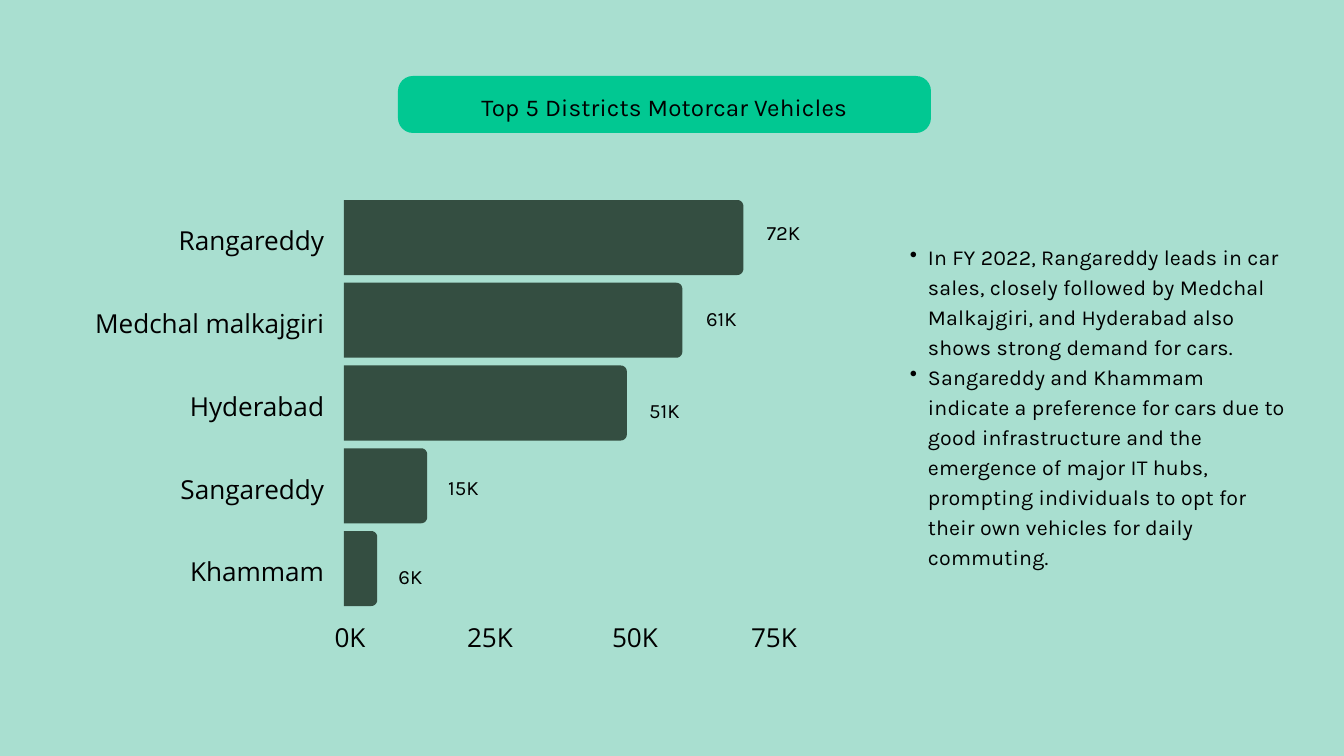
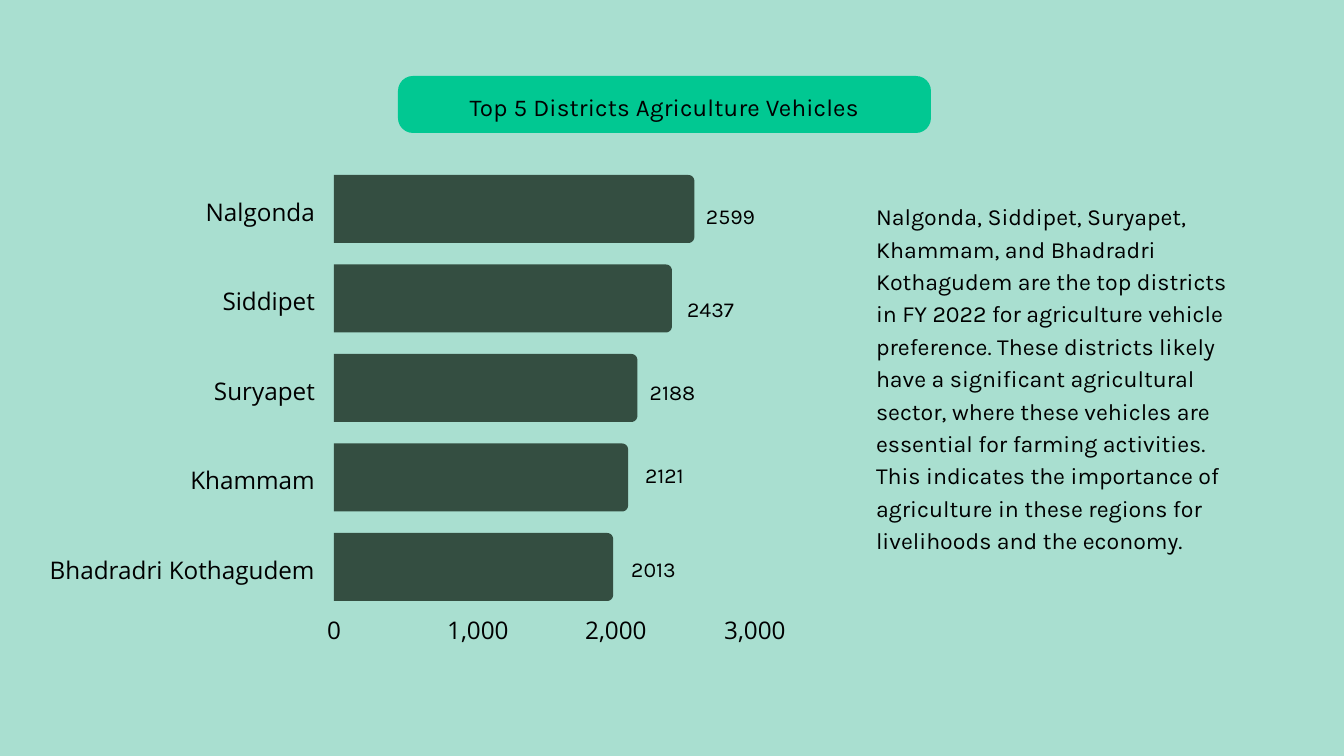
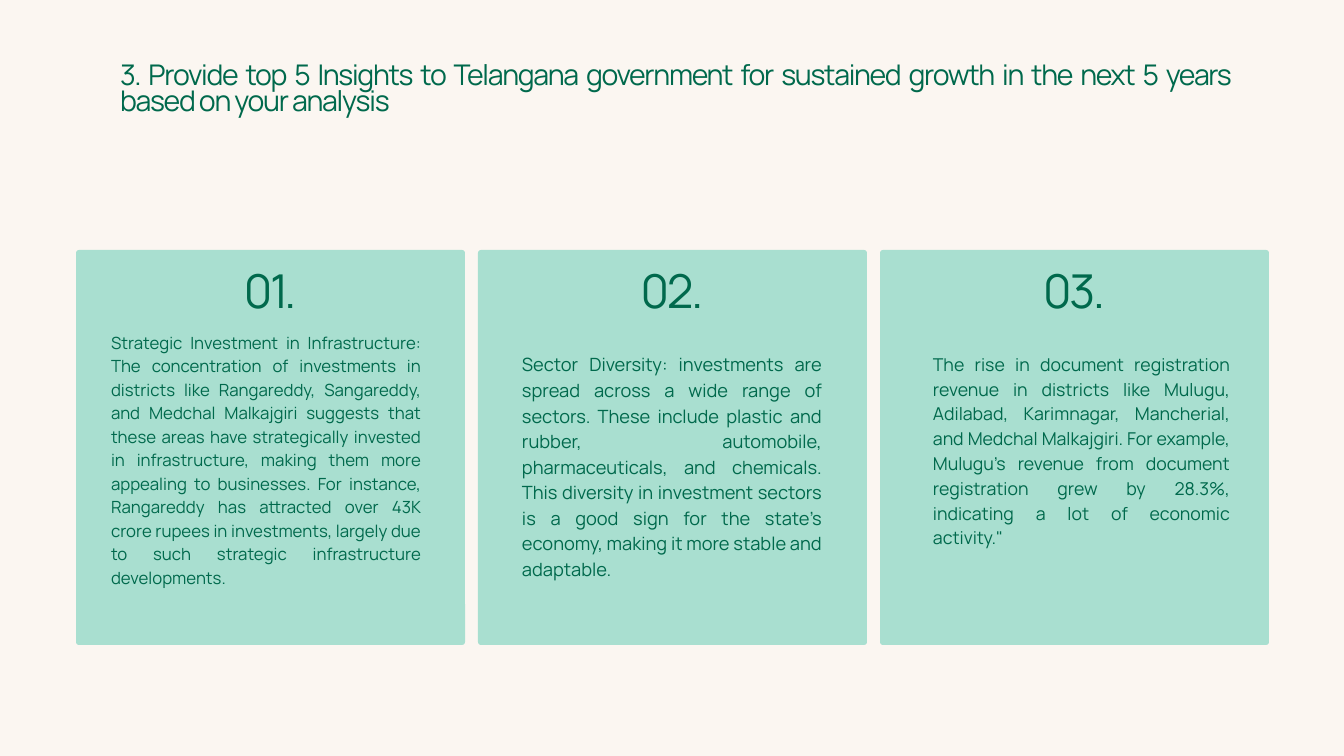
import math

import pptx
import pptx.dml.color
import pptx.enum.shapes
import pptx.enum.text
import pptx.util
from lxml import etree
from pptx.oxml.ns import qn

PX = 914400 / 67.2
SLIDE_W, SLIDE_H = 1344, 756
MINT, EMERALD, BAR, CREAM = "A9DFD0", "01C892", "344E41", "FBF6F1"
BLACK, GREEN = "000000", "00694C"
KARLA, OPEN_SANS, MANROPE = "Karla", "Open Sans", "Manrope"

ALIGN = pptx.enum.text.PP_ALIGN
SHAPE = pptx.enum.shapes.MSO_SHAPE

PILL = (398, 76, 533, 57)
AXIS_W = 416
VALUE_W, TICK_W = 77, 90
CORNER = 6

# rows: name, value, value label, left and top of the value label
CHARTS = [
    {
        "title": "Top 5 Districts Motorcar Vehicles",
        "rows": [
            ("Rangareddy", 72, "72K", 745, 216),
            ("Medchal malkajgiri", 61, "61K", 683, 302),
            ("Hyderabad", 51, "51K", 626, 394),
            ("Sangareddy", 15, "15K", 425, 471),
            ("Khammam", 6, "6K", 372, 560),
        ],
        "axis_max": 75,
        "ticks": [("0K", 350), ("25K", 490), ("50K", 635), ("75K", 774)],
        "tick_top": 616,
        "axis_left": 344, "first_top": 200, "last_top": 531, "bar_h": 75,
        "name_right": 324, "name_size": 28, "value_size": 21.8,
        "notes": [
            "In FY 2022, Rangareddy leads in car sales, closely followed by "
            "Medchal Malkajgiri, and Hyderabad also shows strong demand for cars.",
            "Sangareddy and Khammam indicate a preference for cars due to good "
            "infrastructure and the emergence of major IT hubs, prompting "
            "individuals to opt for their own vehicles for daily commuting.",
        ],
        "notes_box": (892, 240, 396, 352),
        "notes_style": {"size": 22.9, "tracking": 0.2, "bullet": True},
    },
    {
        "title": "Top 5 Districts Agriculture Vehicles",
        "rows": [
            ("Nalgonda", 2599, "2599", 692, 199),
            ("Siddipet", 2437, "2437", 672, 292),
            ("Suryapet", 2188, "2188", 634, 375),
            ("Khammam", 2121, "2121", 626, 458),
            ("Bhadradri Kothagudem", 2013, "2013", 615, 552),
        ],
        "axis_max": 3000,
        "ticks": [("0", 334), ("1,000", 478), ("2,000", 616), ("3,000", 755)],
        "tick_top": 610,
        "axis_left": 334, "first_top": 175, "last_top": 533, "bar_h": 68,
        "name_right": 315, "name_size": 26, "value_size": 22.8,
        "notes": [
            "Nalgonda, Siddipet, Suryapet, Khammam, and Bhadradri Kothagudem are "
            "the top districts in FY 2022 for agriculture vehicle preference. "
            "These districts likely have a significant agricultural sector, where "
            "these vehicles are essential for farming activities. This indicates "
            "the importance of agriculture in these regions for livelihoods and "
            "the economy.",
        ],
        "notes_box": (876, 198, 371, 353),
        "notes_style": {"size": 24.8},
    },
]

INSIGHT_TITLE = ("3. Provide top 5 Insights to Telangana government for sustained "
                 "growth in the next 5 years based on your analysis")
CARD_LEFT, CARD_TOP, CARD_W, CARD_H, CARD_GAP = 76, 250, 389, 395, 13
# number, text, text box, text size
INSIGHTS = [
    ("01.",
     "Strategic Investment in Infrastructure: The concentration of investments in "
     "districts like Rangareddy, Sangareddy, and Medchal Malkajgiri suggests that "
     "these areas have strategically invested in infrastructure, making them more "
     "appealing to businesses. For instance, Rangareddy has attracted over 43K "
     "crore rupees in investments, largely due to such strategic infrastructure "
     "developments.",
     (111, 329, 310, 278), 18),
    ("02.",
     "Sector Diversity: investments are spread across a wide range of sectors. "
     "These include plastic and rubber, automobile, pharmaceuticals, and "
     "chemicals. This diversity in investment sectors is a good sign for the "
     "state's economy, making it more stable and adaptable.",
     (522, 350, 300, 226), 19.6),
    ("03.",
     "The rise in document registration revenue in districts like Mulugu, "
     "Adilabad, Karimnagar, Mancherial, and Medchal Malkajgiri. For example, "
     "Mulugu's revenue from document registration grew by 28.3%, indicating a lot "
     "of economic activity.\"",
     (933, 350, 297, 196), 19),
]


def emu(*lengths):
    return [round(length * PX) for length in lengths]


def rgb(color):
    return pptx.dml.color.RGBColor.from_string(color)


def paint(sp, color):
    sp.shadow.inherit = False
    sp.fill.solid()
    sp.fill.fore_color.rgb = rgb(color)
    sp.line.fill.background()


def add_slide(prs, color):
    slide = prs.slides.add_slide(prs.slide_layouts[6])
    slide.background.fill.solid()
    slide.background.fill.fore_color.rgb = rgb(color)
    return slide


def write(tf, paragraphs, size, font=KARLA, color=BLACK, align=ALIGN.LEFT,
          leading=1.4, tracking=0, bullet=False, inset=0):
    """Fill a text frame; leading is the line height as a multiple of size."""
    tf.word_wrap = True
    tf.margin_left, tf.margin_top, tf.margin_right, tf.margin_bottom = emu(*[inset] * 4)
    for i, text in enumerate(paragraphs):
        p = tf.paragraphs[0] if i == 0 else tf.add_paragraph()
        p.alignment = align
        p.line_spacing = pptx.util.Pt(round(size * leading, 1))
        if bullet:
            pPr = p._p.get_or_add_pPr()
            margin, = emu(36)
            pPr.set("marL", str(margin))
            pPr.set("indent", str(-margin // 2))
            etree.SubElement(pPr, qn("a:buChar")).set("char", "•")
        r = p.add_run()
        r.text = text
        r.font.size = pptx.util.Pt(size)
        r.font.name = font
        r.font.color.rgb = rgb(color)
        if tracking:
            r._r.get_or_add_rPr().set("spc", str(round(tracking * 100)))


def add_text(slide, box, paragraphs, size, **style):
    sp = slide.shapes.add_textbox(*emu(*box))
    write(sp.text_frame, paragraphs, size, **style)


def add_rounded(slide, box, radius, color):
    sp = slide.shapes.add_shape(SHAPE.ROUNDED_RECTANGLE, *emu(*box))
    sp.adjustments[0] = radius / min(box[2:])
    paint(sp, color)
    return sp


def add_bar(slide, left, top, width, height):
    """Draw a bar that is square at the axis and rounded at its far end."""
    right, bottom = left + width, top + height
    turns = [math.radians(a) for a in range(0, 91, 15)]
    upper = [(right - CORNER + CORNER * math.sin(a),
              top + CORNER - CORNER * math.cos(a)) for a in turns]
    lower = [(x, top + bottom - y) for x, y in reversed(upper)]
    points = [emu(*point) for point in upper + lower + [(left, bottom)]]
    builder = slide.shapes.build_freeform(*emu(left, top))
    builder.add_line_segments(points, close=True)
    paint(builder.convert_to_shape(), BAR)


def add_chart_slide(prs, chart):
    slide = add_slide(prs, MINT)
    pill = add_rounded(slide, PILL, 15, EMERALD)
    pill.text_frame.vertical_anchor = pptx.enum.text.MSO_ANCHOR.MIDDLE
    write(pill.text_frame, [chart["title"]], 25.9, align=ALIGN.CENTER,
          tracking=0.2, inset=4)

    left, bar_h, size = chart["axis_left"], chart["bar_h"], chart["name_size"]
    step = (chart["last_top"] - chart["first_top"]) / (len(chart["rows"]) - 1)
    name_h = size + 6
    for i, (name, value, label, label_left, label_top) in enumerate(chart["rows"]):
        top = chart["first_top"] + i * step
        add_bar(slide, left, top, value / chart["axis_max"] * AXIS_W, bar_h)
        add_text(slide, (24, top + (bar_h - name_h) / 2 - 1, chart["name_right"] - 24, name_h),
                 [name], size, font=OPEN_SANS, align=ALIGN.RIGHT)
        add_text(slide, (label_left, label_top, VALUE_W, 28), [label],
                 chart["value_size"], align=ALIGN.CENTER)
    for tick, center in chart["ticks"]:
        add_text(slide, (center - TICK_W / 2, chart["tick_top"], TICK_W, name_h),
                 [tick], size, font=OPEN_SANS, align=ALIGN.CENTER)
    add_text(slide, chart["notes_box"], chart["notes"], **chart["notes_style"])


def add_insight_slide(prs):
    slide = add_slide(prs, CREAM)
    style = {"font": MANROPE, "color": GREEN}
    add_text(slide, (120, 66, 1111, 53), [INSIGHT_TITLE], 30.5,
             align=ALIGN.JUSTIFY, leading=0.9, tracking=-1.4, **style)
    for i, (number, text, box, size) in enumerate(INSIGHTS):
        left = CARD_LEFT + i * (CARD_W + CARD_GAP)
        add_rounded(slide, (left, CARD_TOP, CARD_W, CARD_H), 3, MINT)
        add_text(slide, (left + 105, CARD_TOP + 26, 178, 47), [number], 50,
                 align=ALIGN.CENTER, leading=0.9, tracking=-2.3, **style)
        add_text(slide, box, [text], size, align=ALIGN.JUSTIFY, **style)


def main():
    prs = pptx.Presentation()
    prs.slide_width, prs.slide_height = emu(SLIDE_W, SLIDE_H)
    for chart in CHARTS:
        add_chart_slide(prs, chart)
    add_insight_slide(prs)
    prs.save("out.pptx")


if __name__ == "__main__":
    main()
